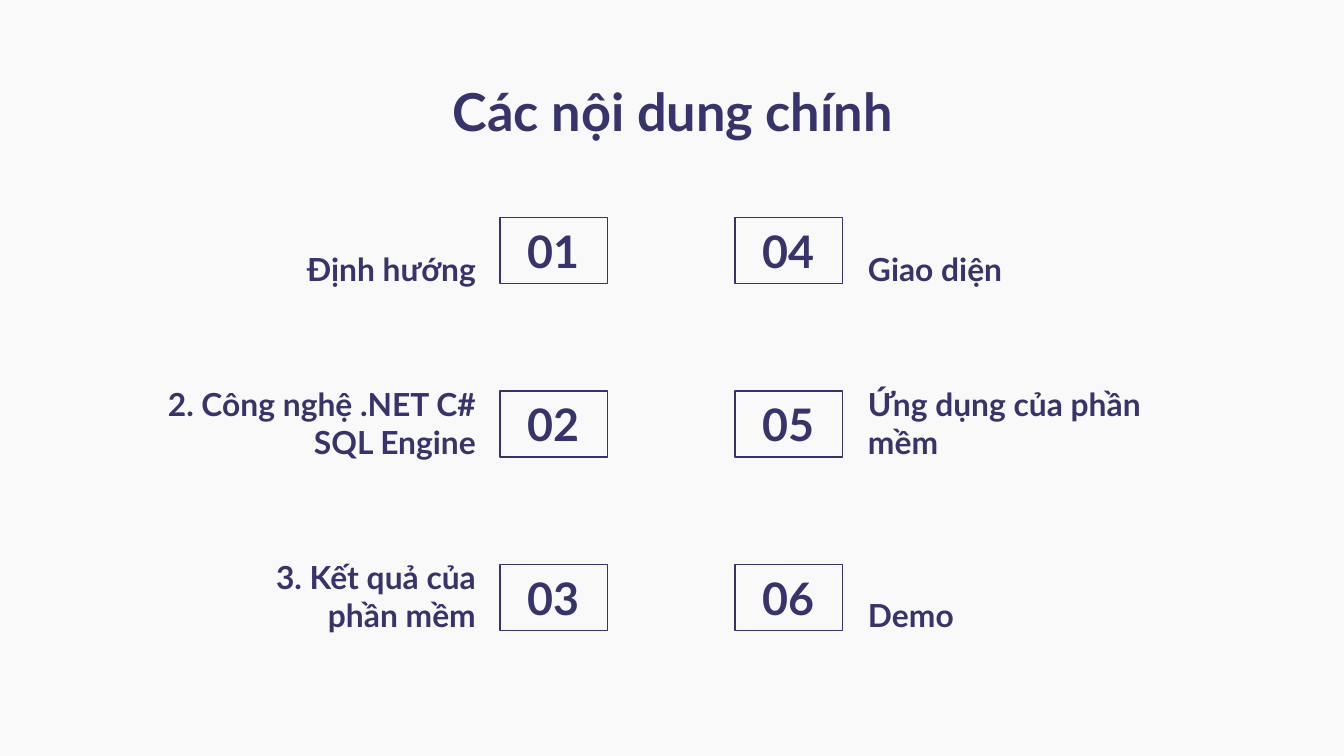
import pptx
import pptx.dml.color
import pptx.enum.shapes
import pptx.enum.text
import pptx.util

Inches = pptx.util.Inches
ALIGN = pptx.enum.text.PP_ALIGN
ANCHOR = pptx.enum.text.MSO_ANCHOR

INK = "39336D"
PAPER = "F9F9F9"
SLIDE_WIDTH = Inches(10)
SLIDE_HEIGHT = SLIDE_WIDTH * 9 // 16
ROW_TOP = 1.62
ROW_STEP = 1.29
BOX_WIDTH, BOX_HEIGHT = 0.8, 0.49
LABEL_HEIGHT = 0.74
LABEL_RISE = 0.12

COLUMNS = [
    (3.72, 3.64, ALIGN.RIGHT, [
        ("Định hướng", 2.25),
        ("2. Công nghệ .NET C# SQL Engine", 2.85),
        ("3. Kết quả của phần mềm", 2.25),
    ]),
    (5.47, 6.36, ALIGN.LEFT, [
        ("Giao diện", 2.25),
        ("Ứng dụng của phần mềm", 2.25),
        ("Demo", 2.25),
    ]),
]


def color(value):
    return pptx.dml.color.RGBColor.from_string(value)


def apply(target, formats):
    for name, value in formats.items():
        setattr(target, name, value)


def write(shape, text, size, align, anchor):
    frame = shape.text_frame
    margins = {f"margin_{side}": Inches(0.1) for side in ("left", "top", "right", "bottom")}
    apply(frame, {"word_wrap": True, "vertical_anchor": anchor, **margins})
    paragraph = frame.paragraphs[0]
    paragraph.alignment = align
    run = paragraph.add_run()
    run.text = text
    apply(run.font, {"name": "Lato", "size": pptx.util.Pt(size), "bold": True})
    run.font.color.rgb = color(INK)


def add_label(slide, bounds, text, size, align, anchor):
    label = slide.shapes.add_textbox(*map(Inches, bounds))
    write(label, text, size, align, anchor)


def add_number(slide, left, top, number):
    box = slide.shapes.add_shape(
        pptx.enum.shapes.MSO_SHAPE.RECTANGLE,
        *map(Inches, (left, top, BOX_WIDTH, BOX_HEIGHT)))
    box.shadow.inherit = False
    box.fill.solid()
    box.fill.fore_color.rgb = color(PAPER)
    box.line.color.rgb = color(INK)
    box.line.width = pptx.util.Pt(0.75)
    write(box, f"{number:02d}", 24, ALIGN.CENTER, ANCHOR.MIDDLE)


def add_column(slide, box_left, label_edge, align, topics, first_number):
    for row, (topic, width) in enumerate(topics):
        top = ROW_TOP + row * ROW_STEP
        label_left = label_edge - width if align == ALIGN.RIGHT else label_edge
        add_number(slide, box_left, top, first_number + row)
        add_label(slide, (label_left, top - LABEL_RISE, width, LABEL_HEIGHT),
                  topic, 17, align, ANCHOR.BOTTOM)


def main():
    deck = pptx.Presentation()
    apply(deck, {"slide_width": SLIDE_WIDTH, "slide_height": SLIDE_HEIGHT})
    slide = deck.slides.add_slide(deck.slide_layouts[6])
    slide.background.fill.solid()
    slide.background.fill.fore_color.rgb = color(PAPER)
    add_label(slide, (0.79, 0.49, 8.43, 0.63), "Các nội dung chính",
              28, ALIGN.CENTER, ANCHOR.TOP)
    first_number = 1
    for box_left, label_edge, align, topics in COLUMNS:
        add_column(slide, box_left, label_edge, align, topics, first_number)
        first_number += len(topics)
    deck.save("out.pptx")


if __name__ == "__main__":
    main()
